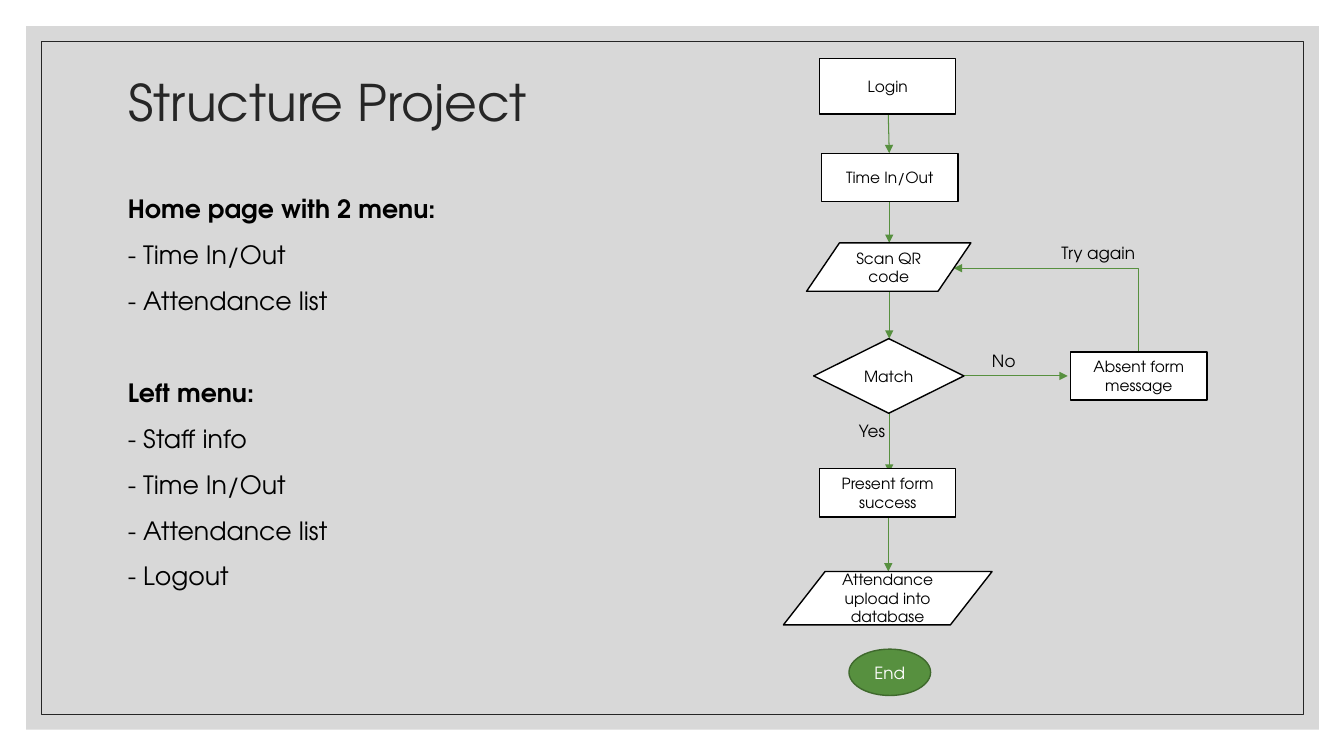
from lxml.etree import SubElement
from pptx import Presentation
from pptx.dml.color import RGBColor
from pptx.enum.shapes import MSO_CONNECTOR as LINK, MSO_SHAPE as SHAPE
from pptx.enum.text import MSO_ANCHOR as ANCHOR, PP_ALIGN as ALIGN
from pptx.oxml.ns import qn
from pptx.util import Pt

PX = 9144  # 100 px to the inch
FONT = "TeX Gyre Adventor"
BLACK, WHITE, DARK = "000000", "FFFFFF", "262626"
GREEN, DARK_GREEN = "57903F", "3F692D"


def color(code):
    return RGBColor.from_string(code)


def style(para, size, ink, bold=False):
    for span in para.runs:
        span.font.name = FONT
        span.font.size = Pt(size)
        span.font.bold = bold
        span.font.color.rgb = color(ink)


deck = Presentation()
deck.slide_width, deck.slide_height = 1333 * PX, 750 * PX
page = deck.slides.add_slide(deck.slide_layouts[5])
shapes = page.shapes

# Background panel and inner frame
panel = shapes.add_shape(SHAPE.RECTANGLE, 26 * PX, 26 * PX, 1282 * PX, 698 * PX)
panel.shadow.inherit = False
panel.fill.solid()
panel.fill.fore_color.rgb = color("BFBFBF")
panel_color = panel.fill._xPr.find(qn("a:solidFill"))[0]
SubElement(panel_color, qn("a:alpha")).set("val", "60000")
panel.line.fill.background()

frame = shapes.add_shape(SHAPE.RECTANGLE, 41 * PX, 41 * PX, 1252 * PX, 668 * PX)
frame.shadow.inherit = False
frame.fill.background()
frame.line.color.rgb = color(DARK)
frame.line.width = Pt(0.75)

# Title, brought in front of the panel
title = shapes.title
panel._element.getparent().append(title._element)
title.left, title.top, title.width, title.height = 117 * PX, 40 * PX, 435 * PX, 128 * PX
title.text_frame.text = "Structure Project"
title.text_frame.vertical_anchor = ANCHOR.MIDDLE
heading = title.text_frame.paragraphs[0]
heading.alignment = ALIGN.LEFT
heading.line_spacing = 0.9
style(heading, 36, DARK)

# Menu lists
menus = [
    ("Home page with 2 menu:", ["Time In/Out", "Attendance list"]),
    ("Left menu:", ["Staff info", "Time In/Out", "Attendance list", "Logout"]),
]
menu_box = shapes.add_textbox(117 * PX, 184 * PX, 344 * PX, 467 * PX)
menu_box.text_frame.word_wrap = True
for number, (menu, items) in enumerate(menus):
    for position, text in enumerate([menu] + [f"- {item}" for item in items]):
        is_menu = position == 0
        if number == 0 and is_menu:
            para = menu_box.text_frame.paragraphs[0]
        else:
            para = menu_box.text_frame.add_paragraph()
            para.space_before = Pt(42 if is_menu else 9)
        para.text = text
        para.line_spacing = 1.1
        style(para, 18, BLACK, bold=is_menu)

# Flow arrows: begin x, y, end x, y
arrows = [
    (881, 113, 882, 152),
    (882, 200, 882, 241),
    (882, 290, 882, 336),
    (882, 410, 882, 469),
    (956, 373, 1059, 373),
    (881, 513, 881, 567),
]
links = [shapes.add_connector(LINK.STRAIGHT, *(n * PX for n in ends)) for ends in arrows]

# One-bend arrow from the absent message back to the scan, turned a quarter
retry = shapes.add_connector(LINK.ELBOW, 1079 * PX, 216 * PX, 996 * PX, 399 * PX)
retry.rotation = 90
retry._element.spPr.find(qn("a:prstGeom")).set("prst", "bentConnector2")

for link in links + [retry]:
    link.line.color.rgb = color(GREEN)
    link.line.width = Pt(0.75)
    SubElement(link.line._get_or_add_ln(), qn("a:tailEnd")).set("type", "triangle")
    SubElement(link._element.spPr, qn("a:effectLst"))

# Flow steps: text, shape, left, top, width, height, fill, outline, ink, size
plain = (WHITE, BLACK, BLACK, 11)
steps = [
    ("Login", SHAPE.RECTANGLE, 813, 58, 135, 55, *plain),
    ("Time In/Out", SHAPE.RECTANGLE, 815, 152, 135, 48, *plain),
    ("Scan QR code", SHAPE.FLOWCHART_DATA, 800, 241, 163, 48, *plain),
    ("Match", SHAPE.DIAMOND, 807, 336, 149, 74, *plain),
    ("Present form success", SHAPE.RECTANGLE, 813, 465, 135, 48, *plain),
    ("Absent form message", SHAPE.RECTANGLE, 1062, 349, 135, 48, *plain),
    ("Attendance upload into database", SHAPE.FLOWCHART_DATA, 777, 567, 207, 53, *plain),
    ("End", SHAPE.OVAL, 842, 644, 81, 46, GREEN, DARK_GREEN, WHITE, 12),
]
for text, kind, left, top, width, height, fill, outline, ink, size in steps:
    step = shapes.add_shape(kind, left * PX, top * PX, width * PX, height * PX)
    step.shadow.inherit = False
    step.fill.solid()
    step.fill.fore_color.rgb = color(fill)
    step.line.color.rgb = color(outline)
    step.line.width = Pt(1)
    step.text_frame.text = text
    step.text_frame.word_wrap = True
    step.text_frame.vertical_anchor = ANCHOR.MIDDLE
    para = step.text_frame.paragraphs[0]
    para.alignment = ALIGN.CENTER
    style(para, size, ink)

# Arrow labels
labels = [("Yes", 842, 412, 48), ("No", 974, 343, 44), ("Try again", 1043, 236, 94)]
for text, left, top, width in labels:
    label = shapes.add_textbox(left * PX, top * PX, width * PX, 30 * PX)
    label.text_frame.word_wrap = False
    label.text_frame.text = text
    style(label.text_frame.paragraphs[0], 12, BLACK)

deck.save("out.pptx")
